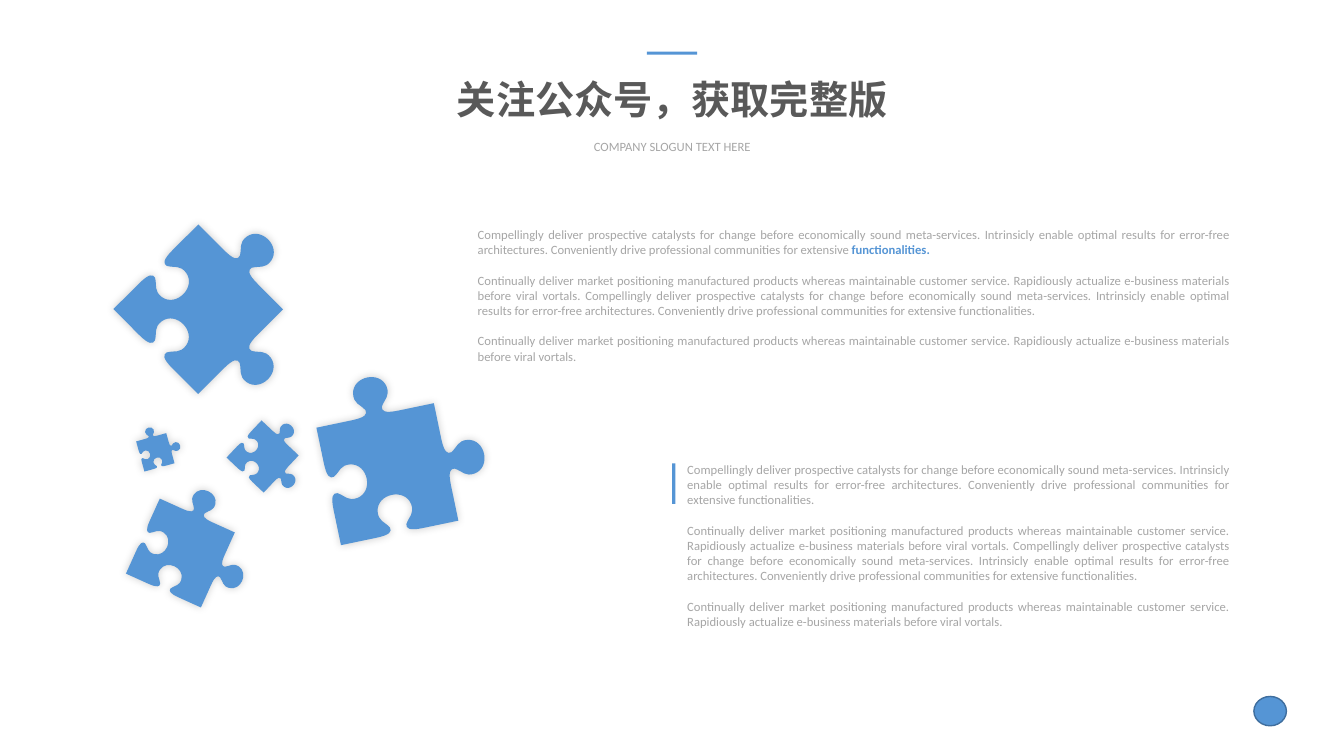
from lxml.etree import SubElement
from pptx import Presentation
from pptx.dml.color import RGBColor
from pptx.enum.shapes import MSO_SHAPE
from pptx.enum.text import PP_ALIGN
from pptx.oxml.ns import qn
from pptx.util import Cm, Pt

COLORS = {"blue": "5595D5", "outline": "3F6E9E", "gray": "A6A6A6", "dark": "595959", "shadow": "000000"}

CATALYSTS = (
    "Compellingly deliver prospective catalysts for change before economically sound meta-services. "
    "Intrinsicly enable optimal results for error-free architectures. "
    "Conveniently drive professional communities for extensive "
)
POSITIONING = (
    "Continually deliver market positioning manufactured products whereas maintainable customer service. "
    "Rapidiously actualize e-business materials before viral vortals."
)
DETAIL = f"{POSITIONING} {CATALYSTS}functionalities."

BODY = {"size": Pt(9), "color": "gray", "bold": False}
STRONG = {"size": Pt(9), "color": "blue", "bold": True}
TITLE = {"size": Pt(28), "color": "dark", "bold": True}

TEXTS = [
    ((11.79, 5.59, 19.43, 3.71), PP_ALIGN.JUSTIFY, True, [
        [(CATALYSTS, BODY), ("functionalities.", STRONG)],
        [(DETAIL, BODY)],
        [(POSITIONING, BODY)],
    ]),
    ((17.07, 11.51, 14.15, 4.5), PP_ALIGN.JUSTIFY, True, [
        [(f"{CATALYSTS}functionalities.", BODY)],
        [(DETAIL, BODY)],
        [(POSITIONING, BODY)],
    ]),
    ((14.68, 3.38, 4.52, 0.64), PP_ALIGN.CENTER, False, [[("COMPANY SLOGUN TEXT HERE", BODY)]]),
    ((11.2, 1.78, 11.48, 1.45), PP_ALIGN.CENTER, False, [[("关注公众号，获取完整版", TITLE)]]),
]

PAGE_DOT = (31.6, 17.55, 0.82, 0.74)
BARS = [(16.94, 11.68, 0.08, 1.02), (16.3, 1.3, 1.27, 0.08)]

PUZZLE_PIECES = [
    (3.71, 5.74, 4.11, 45.1),
    (8.13, 9.25, 4.11, 348.2),
    (3.63, 12.34, 2.82, 24.3),
    (6.07, 10.62, 1.75, 43.3),
    (3.48, 10.69, 1.07, 344.6),
]
HALF_KNOB = [(30, 0), (42, 0), (44, 2.5), (43, 6), (39.5, 12), (34.5, 13), (35.7, 21.5), (38.2, 36)]
KNOB = HALF_KNOB + [(100 - along, out) for along, out in reversed(HALF_KNOB)]
EDGES = [
    ((0, 36), (1, 0), 1),
    ((100, 36), (0, 1), 1),
    ((100, 136), (-1, 0), -1),
    ((0, 136), (0, -1), -1),
]
PIECE_SPAN = 136


def paint(shape, fill, outline=None):
    shape.shadow.inherit = False
    shape.fill.solid()
    shape.fill.fore_color.rgb = RGBColor.from_string(COLORS[fill])
    if outline:
        shape.line.color.rgb = RGBColor.from_string(COLORS[outline])
        shape.line.width = Pt(1)
    else:
        shape.line.fill.background()


def add_preset(preset, box, outline=None):
    shape = slide.shapes.add_shape(preset, *map(Cm, box))
    paint(shape, "blue", outline)


def piece_outline():
    points = []
    for (left, top), (across, down), side in EDGES:
        profile = [KNOB[0]] * 3 + KNOB[1:] + [(100, 0)] * 3
        points += [
            (left + across * along + down * side * out, top + down * along - across * side * out)
            for along, out in profile
        ]
    return points


def curve_segments(shape):
    path_element = next(shape._element.iter(qn("a:path")))
    lines = path_element.findall(qn("a:lnTo"))
    for first in range(0, len(lines), 3):
        curve = SubElement(path_element, qn("a:cubicBezTo"))
        for line in lines[first:first + 3]:
            curve.append(line[0])
            path_element.remove(line)
    path_element.append(path_element.find(qn("a:close")))


def add_soft_shadow(shape):
    effects = shape._element.spPr.find(qn("a:effectLst"))
    shadow = SubElement(effects, qn("a:outerShdw"), blurRad=str(Pt(6)), dist="0", dir="18900000",
                        algn="ctr", rotWithShape="0")
    color = SubElement(shadow, qn("a:srgbClr"), val=COLORS["shadow"])
    SubElement(color, qn("a:alpha"), val="20000")


def add_puzzle_piece(left, top, size, rotation):
    start = EDGES[0][0]
    builder = slide.shapes.build_freeform(*(value * 100 for value in start), scale=Cm(size) / PIECE_SPAN / 100)
    builder.add_line_segments([(across * 100, down * 100) for across, down in piece_outline()], close=True)
    shape = builder.convert_to_shape(0, 0)
    curve_segments(shape)
    paint(shape, "blue")
    add_soft_shadow(shape)
    for name, value in {"left": Cm(left), "top": Cm(top), "rotation": rotation}.items():
        setattr(shape, name, value)


def add_text(box, alignment, wrap, paragraphs):
    frame = slide.shapes.add_textbox(*map(Cm, box)).text_frame
    frame.word_wrap = wrap
    for index, runs in enumerate(paragraphs):
        paragraph = frame.add_paragraph() if index else frame.paragraphs[0]
        spacing = {"alignment": alignment, "space_before": Pt(11 if index else 0)}
        for name, value in spacing.items():
            setattr(paragraph, name, value)
        for text, style in runs:
            run = paragraph.add_run()
            run.text = text
            for name, value in {"name": "Calibri", "size": style["size"], "bold": style["bold"]}.items():
                setattr(run.font, name, value)
            run.font.color.rgb = RGBColor.from_string(COLORS[style["color"]])


presentation = Presentation()
presentation.slide_width = Cm(33.87)
presentation.slide_height = Cm(19.05)
slide = presentation.slides.add_slide(presentation.slide_layouts[6])

add_preset(MSO_SHAPE.OVAL, PAGE_DOT, "outline")
for piece in PUZZLE_PIECES:
    add_puzzle_piece(*piece)
for bar in BARS:
    add_preset(MSO_SHAPE.RECTANGLE, bar)
for text_block in TEXTS:
    add_text(*text_block)

presentation.save("out.pptx")
